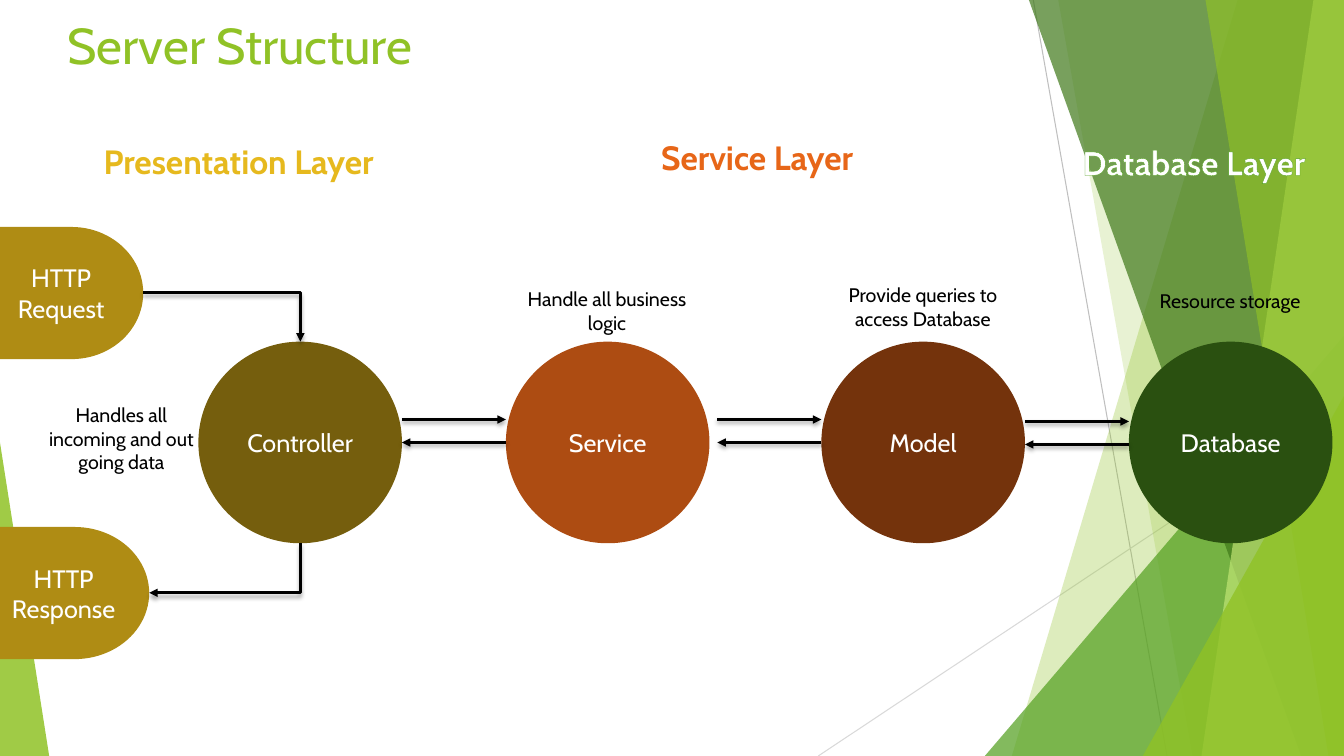
"""Build the Server Structure slide: three layers linked by request and response arrows."""
from dataclasses import dataclass
from typing import Any

import lxml.etree
import pptx
import pptx.dml.color
import pptx.enum.shapes
import pptx.enum.text
import pptx.oxml
import pptx.oxml.ns
import pptx.util

Cm = pptx.util.Cm
Pt = pptx.util.Pt
SHAPE = pptx.enum.shapes.MSO_SHAPE
CONNECTOR = pptx.enum.shapes.MSO_CONNECTOR
ALIGN = pptx.enum.text.PP_ALIGN
ANCHOR = pptx.enum.text.MSO_ANCHOR
qn = pptx.oxml.ns.qn


@dataclass(frozen=True)
class Theme:
    font: str = "Cabin"
    title_size: int = 36
    heading_size: int = 24
    node_size: int = 18
    caption_size: int = 14
    lime: str = "90C226"
    green: str = "54A021"
    forest: str = "3F7819"
    pale: str = "C0E474"
    database: str = "2A5010"
    gold: str = "E6B91E"
    endpoint: str = "AF8C14"
    controller: str = "755E0D"
    orange: str = "E76618"
    service: str = "AD4C12"
    model: str = "74330C"
    white: str = "FFFFFF"
    black: str = "000000"
    light_rule: str = "D9D9D9"
    rule: str = "BFBFBF"


@dataclass(frozen=True)
class Ribbon:
    top_x: float
    bottom_x: float
    color: str
    opacity: int


@dataclass(frozen=True)
class Shard:
    left: float
    top: float
    width: float
    apex: float
    color: str
    opacity: int


@dataclass(frozen=True)
class Node:
    text: str
    kind: Any
    left: float
    top: float
    width: float
    height: float
    color: str


@dataclass(frozen=True)
class Label:
    text: str
    left: float
    top: float
    width: float
    height: float


@dataclass(frozen=True)
class Link:
    x1: float
    y1: float
    x2: float
    y2: float
    bent: bool = False
    arrow: str = "tailEnd"


T = Theme()
WIDTH, HEIGHT = 33.87, 19.05
DISC_TOP, DISC_W, DISC_H = 8.61, 5.13, 5.08
LINK_LENGTH, LINK_GAP = 2.62, 0.58

RULES = [(26.04, 0, 29.41, HEIGHT, T.rule), (WIDTH, 10.24, 20.62, HEIGHT, T.light_rule)]
BACKDROP = [
    Ribbon(31.19, 25.5, T.lime, 30),
    Ribbon(26.67, 30.05, T.lime, 20),
    Shard(24.82, 8.46, 9.05, 1, T.green, 72),
    Ribbon(25.93, 32.79, T.forest, 70),
    Ribbon(33.1, 30.28, T.pale, 70),
    Ribbon(30.38, 33.48, T.lime, 65),
    Shard(28.8, 9.98, 5.07, 1, T.lime, 80),
    Shard(0, 11.15, 1.24, 0, T.lime, 85),
]
DISCS = [("Controller", 5, T.controller), ("Service", 12.75, T.service),
         ("Model", 20.7, T.model), ("Database", 28.45, T.database)]
NODES = [
    Node("HTTP Request", SHAPE.FLOWCHART_DELAY, 0, 5.72, 3.61, 3.33, T.endpoint),
    Node("HTTP Response", SHAPE.FLOWCHART_DELAY, 0, 13.28, 3.76, 3.33, T.endpoint),
] + [Node(text, SHAPE.OVAL, left, DISC_TOP, DISC_W, DISC_H, color) for text, left, color in DISCS]
LINKS = [Link(3.61, 7.38, 7.57, 8.61, True), Link(3.76, 14.94, 7.57, 13.69, True, "headEnd")]
for end_x, link_y in [(12.75, 10.57), (20.7, 10.57), (28.45, 10.62)]:
    start_x = end_x - LINK_LENGTH
    LINKS += [Link(start_x, link_y, end_x, link_y),
              Link(end_x, link_y + LINK_GAP, start_x, link_y + LINK_GAP)]
CAPTIONS = [
    Label("Handles all incoming and out going data", 0.76, 10.03, 4.6, 2.06),
    Label("Handle all business logic", 13, 7.11, 4.6, 1.45),
    Label("Provide queries to access Database", 20.96, 7.01, 4.6, 1.45),
    Label("Resource storage", 28.7, 7.16, 4.6, 0.86),
]
HEADINGS = [
    (Label("Presentation Layer", 2.36, 3.43, 8.1, 1.27), T.gold),
    (Label("Service Layer", 16.41, 3.33, 5.94, 1.27), T.orange),
    (Label("Database Layer", 27.03, 3.45, 6.6, 1.27), T.white),
]


def rgb(color: str) -> pptx.dml.color.RGBColor:
    return pptx.dml.color.RGBColor.from_string(color)


def apply(obj: Any, values: dict[str, Any]) -> None:
    for name, value in values.items():
        setattr(obj, name, value)


def write(tf: Any, text: str, size: int, color: str, align: Any = ALIGN.CENTER,
          anchor: Any = ANCHOR.TOP, wrap: bool = True, bold: bool = False) -> Any:
    apply(tf, {"word_wrap": wrap, "vertical_anchor": anchor})
    p = tf.paragraphs[0]
    p.alignment = align
    r = p.add_run()
    r.text = text
    apply(r.font, {"name": T.font, "size": Pt(size), "bold": bold})
    r.font.color.rgb = rgb(color)
    return r


def paint(sp: Any, color: str, opacity: int = 100) -> None:
    sp.shadow.inherit = False
    sp.fill.solid()
    sp.fill.fore_color.rgb = rgb(color)
    sp.line.fill.background()
    if opacity < 100:
        fill = sp._element.spPr.find(qn("a:solidFill"))
        lxml.etree.SubElement(fill[0], qn("a:alpha"), val=str(opacity * 1000))


def draw_ribbon(shapes: Any, ribbon: Ribbon) -> None:
    fb = shapes.build_freeform(Cm(ribbon.top_x), 0)
    fb.add_line_segments([(Cm(WIDTH), 0), (Cm(WIDTH), Cm(HEIGHT)), (Cm(ribbon.bottom_x), Cm(HEIGHT))])
    paint(fb.convert_to_shape(), ribbon.color, ribbon.opacity)


def draw_shard(shapes: Any, shard: Shard) -> None:
    sp = shapes.add_shape(SHAPE.ISOSCELES_TRIANGLE, Cm(shard.left), Cm(shard.top),
                          Cm(shard.width), Cm(HEIGHT - shard.top))
    sp.adjustments[0] = shard.apex
    paint(sp, shard.color, shard.opacity)


def draw_node(shapes: Any, node: Node) -> None:
    sp = shapes.add_shape(node.kind, Cm(node.left), Cm(node.top), Cm(node.width), Cm(node.height))
    paint(sp, node.color)
    write(sp.text_frame, node.text, T.node_size, T.white, anchor=ANCHOR.MIDDLE)


def draw_line(shapes: Any, link: Link, color: str, width: float) -> tuple[Any, Any]:
    kind = CONNECTOR.ELBOW if link.bent else CONNECTOR.STRAIGHT
    cx = shapes.add_connector(kind, Cm(link.x1), Cm(link.y1), Cm(link.x2), Cm(link.y2))
    cx.line.color.rgb = rgb(color)
    cx.line.width = Pt(width)
    return cx, lxml.etree.SubElement(cx._element.spPr, qn("a:effectLst"))


def draw_link(shapes: Any, link: Link) -> None:
    cx, effects = draw_line(shapes, link, T.black, 2)
    lxml.etree.SubElement(cx.line._get_or_add_ln(), qn(f"a:{link.arrow}"), type="triangle")
    shadow = lxml.etree.SubElement(effects, qn("a:outerShdw"), blurRad=str(Pt(3)), dist=str(Pt(2)),
                                   dir="5400000", rotWithShape="0")
    tone = lxml.etree.SubElement(shadow, qn("a:srgbClr"), val=T.black)
    lxml.etree.SubElement(tone, qn("a:alpha"), val="35000")
    if link.bent:
        cx._element.spPr.find(qn("a:prstGeom")).set("prst", "bentConnector2")


def draw_label(shapes: Any, label: Label, size: int, color: str, **style: Any) -> Any:
    sp = shapes.add_textbox(Cm(label.left), Cm(label.top), Cm(label.width), Cm(label.height))
    return write(sp.text_frame, label.text, size, color, **style)


def outline(r: Any, color: str, width: float) -> None:
    ln = pptx.oxml.parse_xml(
        f'<a:ln xmlns:a="http://schemas.openxmlformats.org/drawingml/2006/main" w="{Pt(width)}">'
        f'<a:solidFill><a:srgbClr val="{color}"/></a:solidFill></a:ln>')
    r.font._element.insert(0, ln)


def main() -> None:
    prs = pptx.Presentation()
    apply(prs, {"slide_width": Cm(WIDTH), "slide_height": Cm(HEIGHT)})
    slide = prs.slides.add_slide(prs.slide_layouts[5])
    shapes = slide.shapes
    for *ends, color in RULES:
        draw_line(shapes, Link(*ends), color, 0.75)
    for part in BACKDROP:
        if isinstance(part, Ribbon):
            draw_ribbon(shapes, part)
        else:
            draw_shard(shapes, part)
    title = shapes.title
    apply(title, {"left": Cm(1.45), "top": Cm(0.23), "width": Cm(23.88), "height": Cm(3.66)})
    write(title.text_frame, "Server Structure", T.title_size, T.lime, align=ALIGN.LEFT)
    for node in NODES:
        draw_node(shapes, node)
    for link in LINKS:
        draw_link(shapes, link)
    for caption in CAPTIONS:
        draw_label(shapes, caption, T.caption_size, T.black)
    for heading, color in HEADINGS:
        r = draw_label(shapes, heading, T.heading_size, color, align=ALIGN.LEFT, wrap=False, bold=True)
        if color == T.white:
            outline(r, T.green, 0.52)
    prs.save("out.pptx")


if __name__ == "__main__":
    main()
